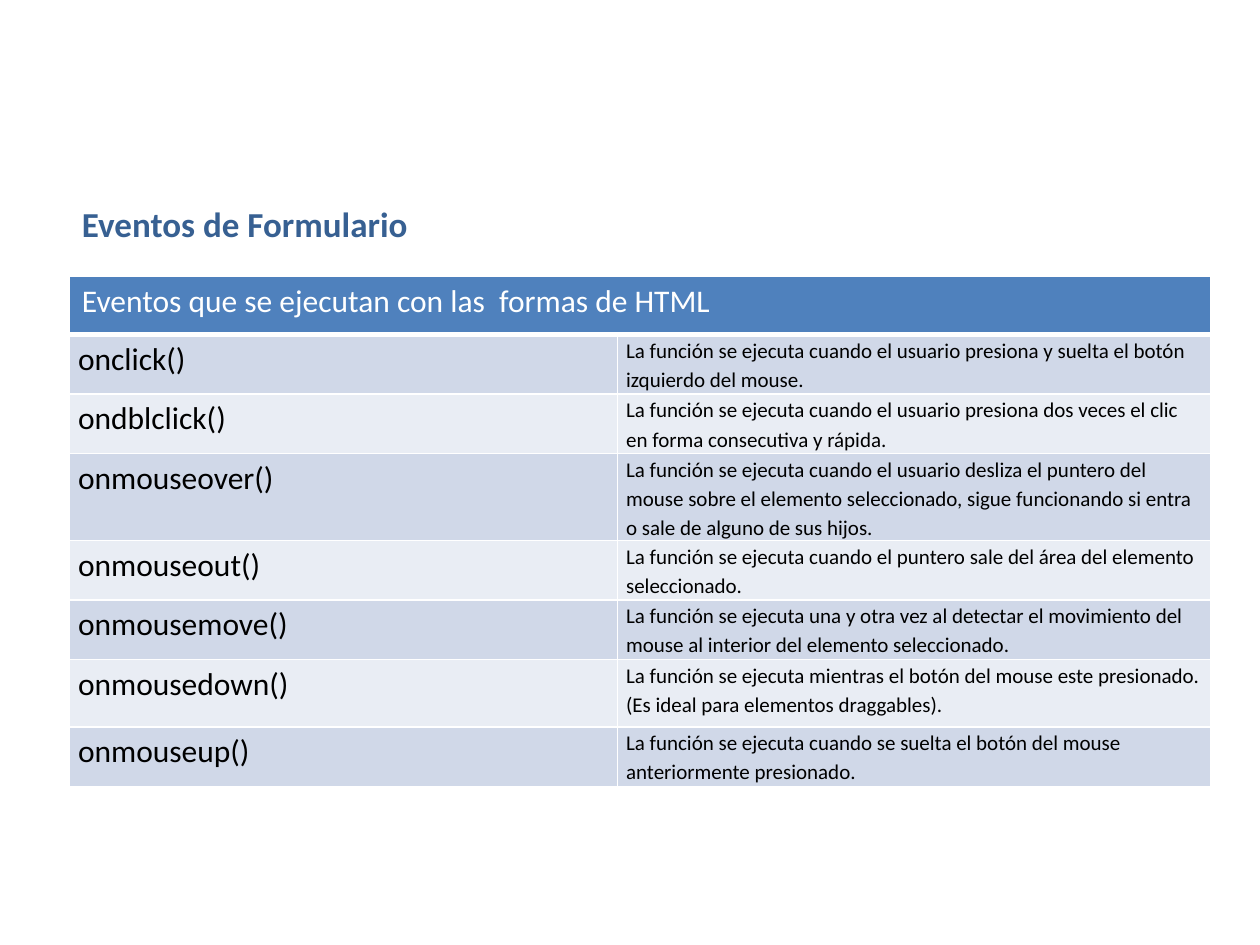
from dataclasses import dataclass

from lxml import etree
from pptx import Presentation
from pptx.dml.color import RGBColor
from pptx.enum.text import MSO_ANCHOR, MSO_AUTO_SIZE, PP_ALIGN
from pptx.oxml.ns import qn
from pptx.util import Pt


@dataclass(frozen=True)
class Theme:
    font: str = "Calibri"
    title: str = "376092"
    header: str = "4F81BD"
    bands: tuple = ("D0D8E8", "E9EDF4")
    white: str = "FFFFFF"
    text: str = "000000"
    title_size: int = 20
    name_size: int = 18
    detail_size: int = 12


THEME = Theme()
LEFT = 39.6
COLUMN_WIDTHS = (313.2, 339.1)
HEADER_HEIGHT = 33.4
ROW_HEIGHT = 34
TALL_ROWS = {"onmousedown()": 38.6}

EVENTS = [
    ("onclick()", "La función se ejecuta cuando el usuario presiona y suelta "
     "el botón izquierdo del mouse."),
    ("ondblclick()", "La función se ejecuta cuando el usuario presiona dos "
     "veces el clic en forma consecutiva y rápida."),
    ("onmouseover()", "La función se ejecuta cuando el usuario desliza el "
     "puntero del mouse sobre el elemento seleccionado, sigue funcionando si "
     "entra o sale de alguno de sus hijos."),
    ("onmouseout()", "La función se ejecuta cuando el puntero sale del área "
     "del elemento seleccionado."),
    ("onmousemove()", "La función se ejecuta una y otra vez al detectar el "
     "movimiento del mouse al interior del elemento seleccionado."),
    ("onmousedown()", "La función se ejecuta mientras el botón del mouse este "
     "presionado. (Es ideal para elementos draggables)."),
    ("onmouseup()", "La función se ejecuta cuando se suelta el botón del "
     "mouse anteriormente presionado."),
]


def write(frame, text, size, color, bold=False, spacing=None):
    paragraph = frame.paragraphs[0]
    paragraph.alignment = PP_ALIGN.LEFT
    if spacing:
        paragraph.line_spacing = spacing
    run = paragraph.add_run()
    run.text = text
    run.font.name = THEME.font
    run.font.size = Pt(size)
    run.font.bold = bold
    run.font.color.rgb = RGBColor.from_string(color)


def set_borders(cell, bottom):
    properties = cell._tc.get_or_add_tcPr()
    widths = {"a:lnL": 1, "a:lnR": 1, "a:lnT": 1, "a:lnB": bottom}
    for index, (tag, width) in enumerate(widths.items()):
        line = etree.Element(qn(tag), w=str(Pt(width)))
        fill = etree.SubElement(line, qn("a:solidFill"))
        etree.SubElement(fill, qn("a:srgbClr"), val=THEME.white)
        properties.insert(index, line)


def paint_cell(cell, fill, bottom=1):
    cell.fill.solid()
    cell.fill.fore_color.rgb = RGBColor.from_string(fill)
    set_borders(cell, bottom)


def set_title(slide, text):
    title = slide.shapes.title
    title.left, title.top = Pt(LEFT), Pt(112.3)
    title.width, title.height = Pt(202.3), Pt(31.5)
    frame = title.text_frame
    frame.word_wrap = False
    frame.auto_size = MSO_AUTO_SIZE.SHAPE_TO_FIT_TEXT
    frame.vertical_anchor = MSO_ANCHOR.TOP
    write(frame, text, THEME.title_size, THEME.title, bold=True)


def fill_event_cell(cell, text, size, fill):
    cell.margin_left = cell.margin_right = Pt(5)
    cell.margin_top = cell.margin_bottom = 0
    paint_cell(cell, fill)
    write(cell.text_frame, text, size, THEME.text, spacing=1.15)


def add_event_table(slide, heading, events):
    heights = [HEADER_HEIGHT]
    heights += [TALL_ROWS.get(name, ROW_HEIGHT) for name, _ in events]
    table = slide.shapes.add_table(
        len(heights), len(COLUMN_WIDTHS), Pt(LEFT), Pt(157.7),
        Pt(sum(COLUMN_WIDTHS)), Pt(sum(heights))).table
    for column, width in zip(table.columns, COLUMN_WIDTHS):
        column.width = Pt(width)
    for row, height in zip(table.rows, heights):
        row.height = Pt(height)

    header = table.cell(0, 0)
    header.merge(table.cell(0, 1))
    for cell in table.rows[0].cells:
        paint_cell(cell, THEME.header, bottom=3)
    write(header.text_frame, heading, THEME.name_size, THEME.white)

    sizes = (THEME.name_size, THEME.detail_size)
    for index, event in enumerate(events):
        fill = THEME.bands[index % 2]
        for cell, text, size in zip(table.rows[index + 1].cells, event, sizes):
            fill_event_cell(cell, text, size, fill)


def main():
    presentation = Presentation()
    presentation.slide_width, presentation.slide_height = Pt(720), Pt(540)
    slide = presentation.slides.add_slide(presentation.slide_layouts[5])
    set_title(slide, "Eventos de Formulario")
    add_event_table(
        slide, "Eventos que se ejecutan con las  formas de HTML", EVENTS)
    presentation.save("out.pptx")


main()
